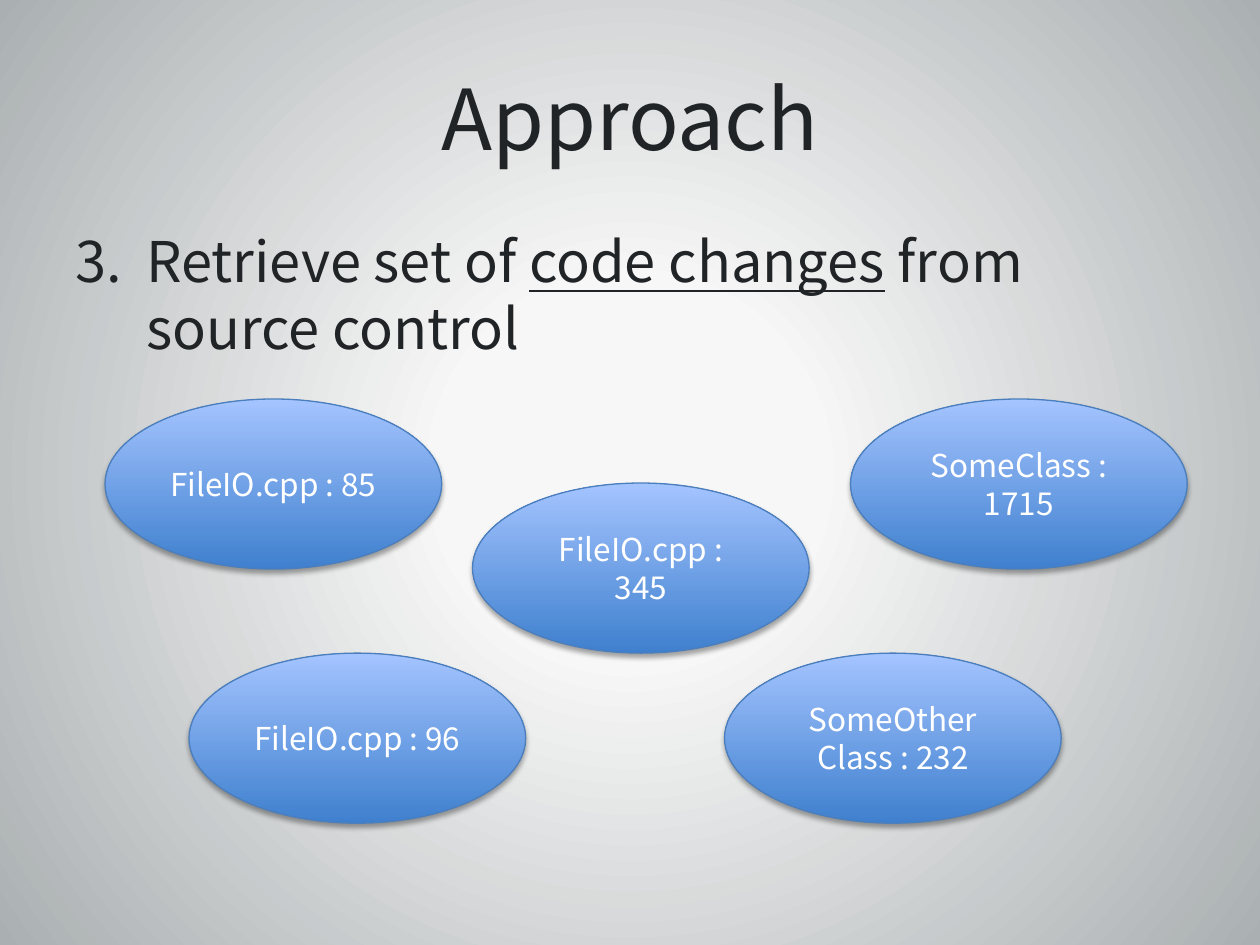
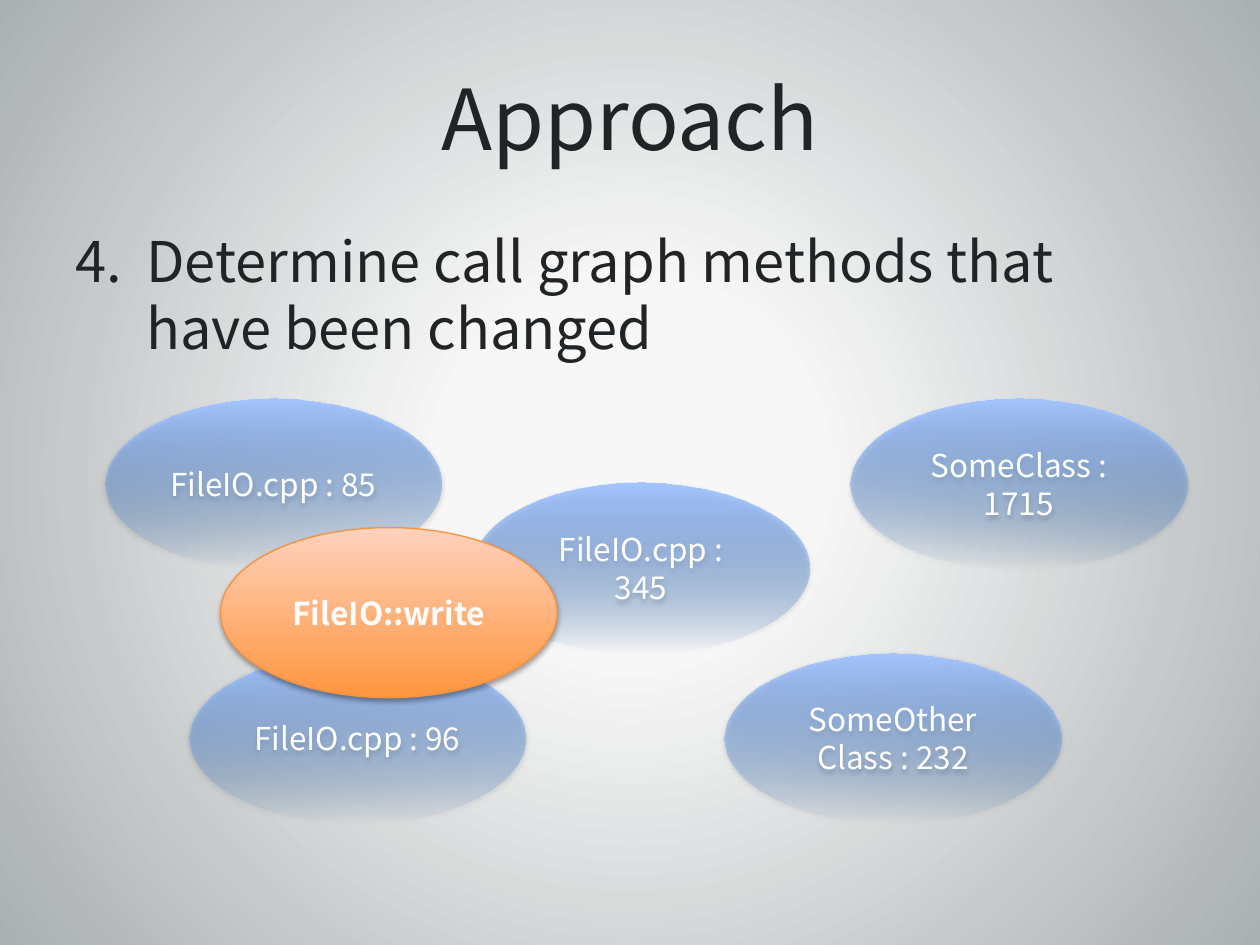
from lxml import etree
from pptx import Presentation
from pptx.dml.color import RGBColor
from pptx.enum import shapes, text
from pptx.oxml.ns import nsdecls, qn
from pptx.oxml import parse_xml
from pptx.util import Pt

FONT = "Noto Sans CJK JP"
INK, WHITE = "212426", "FFFFFF"
TITLE_BOX = (36, 21.6, 648, 90)
STEP_BOX = (36, 126, 648, 108)
NODE_SIZE = (192.4, 97.2)
HANGING_INDENT = 40.5
UPWARD = '<a:lin ang="16200000" scaled="0"/>'
CENTERED = ('<a:path path="circle"><a:fillToRect l="50000" t="50000" '
            'r="50000" b="50000"/></a:path>')

# Each node style: gradient stops (position, colour, opacity) and outline colour
BLUE = ([(0, "3F80CE", 100), (100, "A4C4FF", 100)], "4B7EBC")
FADED = ([(0, "3F80CE", 0), (100, "A4C4FF", 100)], None)
ORANGE = ([(0, "FF953E", 100), (100, "FFD2BD", 100)], "F69240")

CODE_CHANGES = [
    ("FileIO.cpp : 85", 60, 228),
    ("FileIO.cpp : 96", 108, 373.2),
    ("FileIO.cpp : 345", 270, 276),
    ("SomeOther Class : 232", 414, 373.2),
    ("SomeClass : 1715", 486, 228),
]


def color(value):
    return RGBColor.from_string(value)


def gradient(stops, direction):
    stop_xml = "".join(
        f'<a:gs pos="{position * 1000}"><a:srgbClr val="{value}">'
        f'<a:alpha val="{opacity * 1000}"/></a:srgbClr></a:gs>'
        for position, value, opacity in stops)
    return parse_xml(f'<a:gradFill {nsdecls("a")} rotWithShape="1">'
                     f'<a:gsLst>{stop_xml}</a:gsLst>{direction}</a:gradFill>')


def replace_solid_fill(properties, new_fill):
    properties.replace(properties.find(qn("a:solidFill")), new_fill)


def style_runs(para, size, value, bold=False):
    for span in para.runs:
        span.font.name = FONT
        span.font.size = Pt(size)
        span.font.bold = bold
        span.font.color.rgb = color(value)


def add_text_box(page, bounds):
    box = page.shapes.add_textbox(*map(Pt, bounds))
    box.text_frame.word_wrap = True
    return box.text_frame


def add_title(page, bounds, title):
    frame = add_text_box(page, bounds)
    frame.vertical_anchor = text.MSO_ANCHOR.MIDDLE
    frame.text = title
    para = frame.paragraphs[0]
    para.alignment = text.PP_ALIGN.CENTER
    style_runs(para, 48, INK)


def add_step(page, bounds, number, parts):
    """Add a numbered step; parts are (wording, underlined) pairs."""
    para = add_text_box(page, bounds).paragraphs[0]
    settings = para._p.get_or_add_pPr()
    settings.set("marL", str(Pt(HANGING_INDENT)))
    settings.set("indent", str(-Pt(HANGING_INDENT)))
    etree.SubElement(settings, qn("a:buFont"), typeface="+mj-lt")
    etree.SubElement(settings, qn("a:buAutoNum"), type="arabicPeriod",
                     startAt=str(number))
    para.space_after = Pt(12)
    for wording, underlined in parts:
        span = para.add_run()
        span.text = wording
        span.font.underline = underlined
    style_runs(para, 32, INK)


def add_shadow(shape):
    shape.shadow.inherit = False
    effects = shape._element.spPr.find(qn("a:effectLst"))
    effects.append(parse_xml(
        f'<a:outerShdw {nsdecls("a")} blurRad="{Pt(3.1)}" dist="{Pt(1.8)}" '
        'dir="5400000" rotWithShape="0"><a:srgbClr val="000000">'
        '<a:alpha val="35000"/></a:srgbClr></a:outerShdw>'))


def add_node(page, label, left, top, style, bold=False):
    stops, outline = style
    node = page.shapes.add_shape(shapes.MSO_SHAPE.OVAL,
                                 *map(Pt, (left, top, *NODE_SIZE)))
    node.fill.solid()
    replace_solid_fill(node._element.spPr, gradient(stops, UPWARD))
    if outline:
        node.line.color.rgb = color(outline)
        node.line.width = Pt(0.75)
    else:
        node.line.fill.background()
    add_shadow(node)
    frame = node.text_frame
    frame.word_wrap = True
    frame.vertical_anchor = text.MSO_ANCHOR.MIDDLE
    frame.text = label
    para = frame.paragraphs[0]
    para.alignment = text.PP_ALIGN.CENTER
    style_runs(para, 18, WHITE, bold)


def add_approach_page(deck, number, parts, change_style):
    page = deck.slides.add_slide(deck.slide_layouts[6])
    page.background.fill.solid()
    replace_solid_fill(
        page._element.find(f'.//{qn("p:bgPr")}'),
        gradient([(24, "F7F7F7", 100), (100, "AAAFB1", 100)], CENTERED))
    add_title(page, TITLE_BOX, "Approach")
    add_step(page, STEP_BOX, number, parts)
    for label, left, top in CODE_CHANGES:
        add_node(page, label, left, top, change_style)
    return page


def main():
    deck = Presentation()
    deck.slide_width, deck.slide_height = Pt(720), Pt(540)
    add_approach_page(deck, 3, [("Retrieve set of ", False),
                                ("code changes", True),
                                (" from source control", False)], BLUE)
    page = add_approach_page(
        deck, 4,
        [("Determine call graph methods that have been changed", False)], FADED)
    add_node(page, "FileIO::write", 126, 301.5, ORANGE, bold=True)
    deck.save("out.pptx")


if __name__ == "__main__":
    main()
